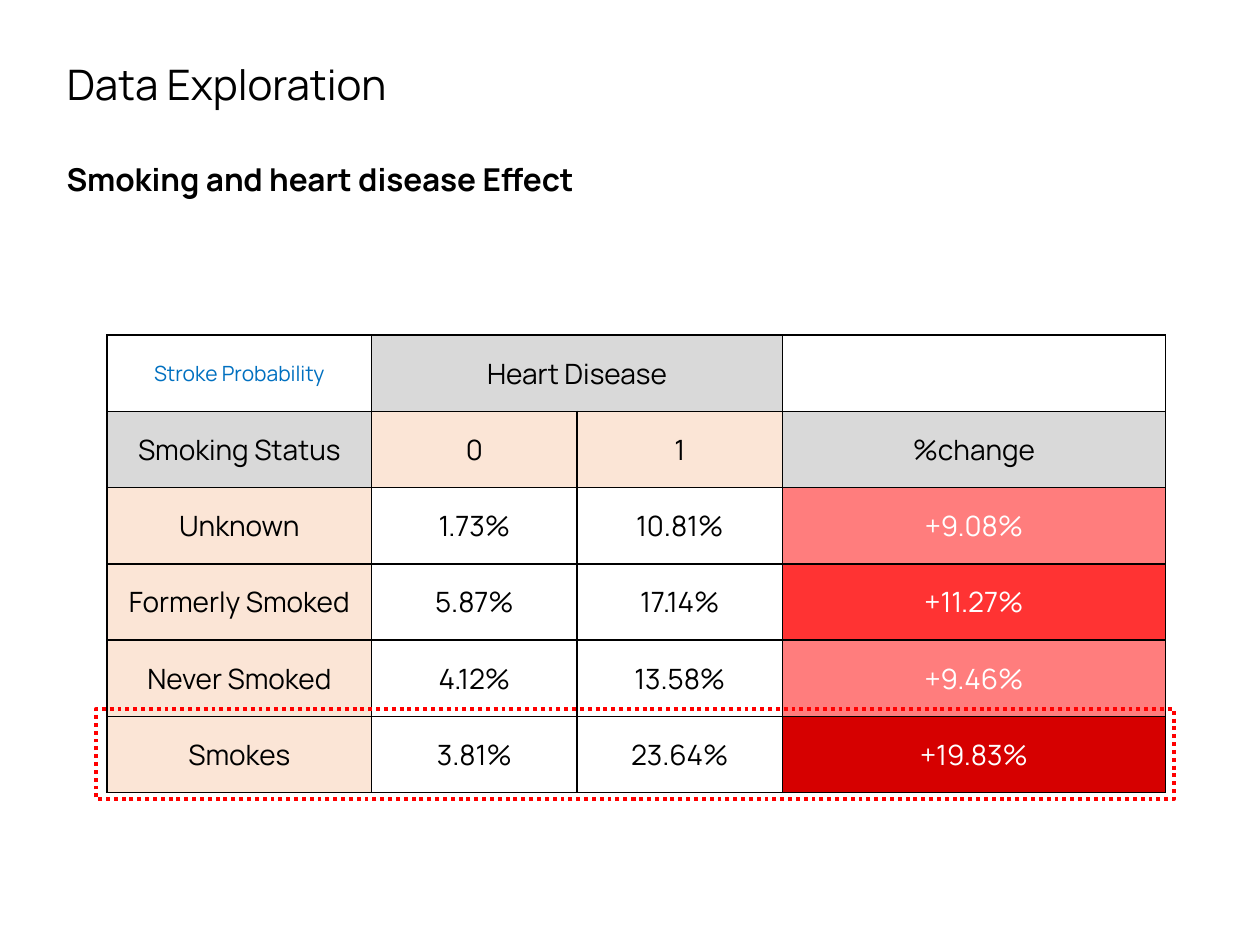
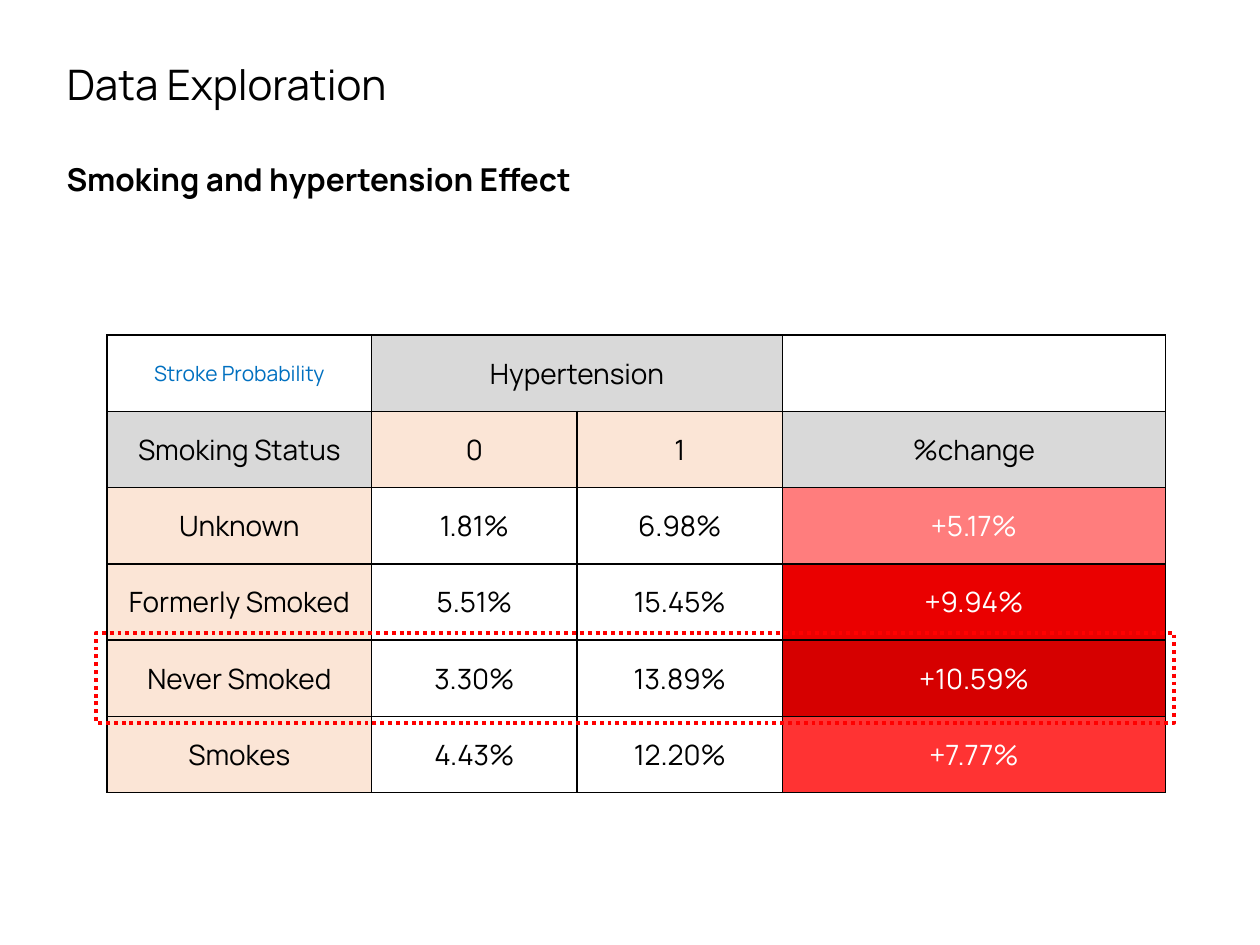
from lxml.etree import SubElement
from pptx import Presentation
from pptx.dml.color import RGBColor
from pptx.enum.dml import MSO_LINE
from pptx.enum.shapes import MSO_SHAPE
from pptx.enum.text import MSO_ANCHOR, MSO_AUTO_SIZE, PP_ALIGN
from pptx.oxml.ns import qn
from pptx.util import Inches, Pt

BLACK, WHITE, BLUE, RED = "000000", "FFFFFF", "0070C0", "FF0000"
GREY, PEACH = "D9D9D9", "FBE5D6"
PINK, BRIGHT, DEEP, DARK = "FF7D7D", "FF3333", "EA0000", "D60000"
LEFT, TOP, ROW = 8.5, 35.47, 8.07
COLS = (21, 16.3, 16.3, 30.4)
GROUPS = ("Unknown", "Formerly Smoked", "Never Smoked", "Smokes")


def rgb(code):
    """Turn a hex string into a colour."""
    return RGBColor.from_string(code)


class Deck:
    """Holds the style and the current slide; lengths are percent of the slide."""

    font = "Manrope"

    def __init__(self):
        """Start an empty deck."""
        self.prs = Presentation()
        self.prs.slide_width, self.prs.slide_height = Inches(10), Inches(7.5)

    def wide(self, share):
        """Give a share of the slide width."""
        return round(self.prs.slide_width * share / 100)

    def high(self, share):
        """Give a share of the slide height."""
        return round(self.prs.slide_height * share / 100)

    def box(self, x, y, w, h):
        """Give a frame as left, top, width and height."""
        return self.wide(x), self.high(y), self.wide(w), self.high(h)

    def label(self, frame, text, size, color=BLACK, bold=False, align=PP_ALIGN.LEFT):
        """Set and format one line of text."""
        frame.text = text
        line = frame.paragraphs[0]
        line.alignment = align
        for run in line.runs:
            font = run.font
            font.name, font.size, font.bold = self.font, Pt(size), bold
            font.color.rgb = rgb(color)

    def setup(self, frame):
        """Wrap the text and hold it at the top."""
        frame.word_wrap = True
        frame.auto_size = MSO_AUTO_SIZE.NONE
        frame.vertical_anchor = MSO_ANCHOR.TOP

    def page(self, title):
        """Add a slide with its title."""
        self.slide = self.prs.slides.add_slide(self.prs.slide_layouts[5])
        head = self.slide.shapes.title
        head.left, head.top, head.width, head.height = self.box(4.3, 5.47, 77.8, 6.67)
        self.setup(head.text_frame)
        self.label(head.text_frame, title, 24)

    def topic(self, text):
        """Add the bold line below the title."""
        frame = self.slide.shapes.add_textbox(*self.box(4.3, 16.27, 50.3, 5.33)).text_frame
        self.setup(frame)
        self.label(frame, text, 18, bold=True)

    def edge(self, cell):
        """Draw thin black borders round a cell."""
        props = cell._tc.get_or_add_tcPr()
        for side in ("lnL", "lnR", "lnT", "lnB"):
            line = SubElement(props, qn(f"a:{side}"), w=str(Pt(1)))
            fill = SubElement(line, qn("a:solidFill"))
            SubElement(fill, qn("a:srgbClr"), val=BLACK)

    def table(self, rows):
        """Add a table from rows of (text, fill, colour, size)."""
        frame = self.box(LEFT, TOP, sum(COLS), ROW * len(rows))
        grid = self.slide.shapes.add_table(len(rows), len(COLS), *frame).table
        grid.first_row = grid.horz_banding = False
        for col, share in zip(grid.columns, COLS):
            col.width = self.wide(share)
        for r, row in enumerate(rows):
            grid.rows[r].height = self.high(ROW)
            for c, (text, fill, color, size) in enumerate(row):
                cell = grid.cell(r, c)
                self.edge(cell)
                cell.fill.solid()
                cell.fill.fore_color.rgb = rgb(fill)
                cell.vertical_anchor = MSO_ANCHOR.MIDDLE
                self.label(cell.text_frame, text, size, color, align=PP_ALIGN.CENTER)
        grid.cell(0, 1).merge(grid.cell(0, 2))

    def mark(self, row):
        """Frame one table row with a dotted red line."""
        frame = self.box(LEFT - 0.9, TOP + ROW * row - 0.75, sum(COLS) + 1.6, ROW + 1.4)
        rect = self.slide.shapes.add_shape(MSO_SHAPE.RECTANGLE, *frame)
        rect.shadow.inherit = False
        rect.fill.background()
        rect.line.color.rgb = rgb(RED)
        rect.line.width = Pt(2.25)
        rect.line.dash_style = MSO_LINE.ROUND_DOT


def cell(text, fill=WHITE, color=BLACK, size=16):
    """Describe one table cell."""
    return text, fill, color, size


def study(deck, topic, factor, risks, peak):
    """Add a slide on one factor, with (without, with, shade) for each group."""
    deck.page("Data Exploration")
    deck.topic(topic)
    rows = [
        [cell("Stroke Probability", color=BLUE, size=12), cell(factor, GREY), cell("", GREY), cell("")],
        [cell("Smoking Status", GREY), cell("0", PEACH), cell("1", PEACH), cell("%change", GREY)],
    ]
    for group, (low, high, shade) in zip(GROUPS, risks):
        rows.append([cell(group, PEACH), cell(f"{low:.2f}%"), cell(f"{high:.2f}%"),
                     cell(f"{high - low:+.2f}%", shade, WHITE)])
    deck.table(rows)
    deck.mark(2 + GROUPS.index(peak))


def main():
    """Build and save the deck."""
    deck = Deck()
    study(deck, "Smoking and heart disease Effect", "Heart Disease",
          [(1.73, 10.81, PINK), (5.87, 17.14, BRIGHT), (4.12, 13.58, PINK), (3.81, 23.64, DARK)],
          "Smokes")
    study(deck, "Smoking and hypertension Effect", "Hypertension",
          [(1.81, 6.98, PINK), (5.51, 15.45, DEEP), (3.30, 13.89, DARK), (4.43, 12.20, BRIGHT)],
          "Never Smoked")
    deck.prs.save("out.pptx")


if __name__ == "__main__":
    main()
